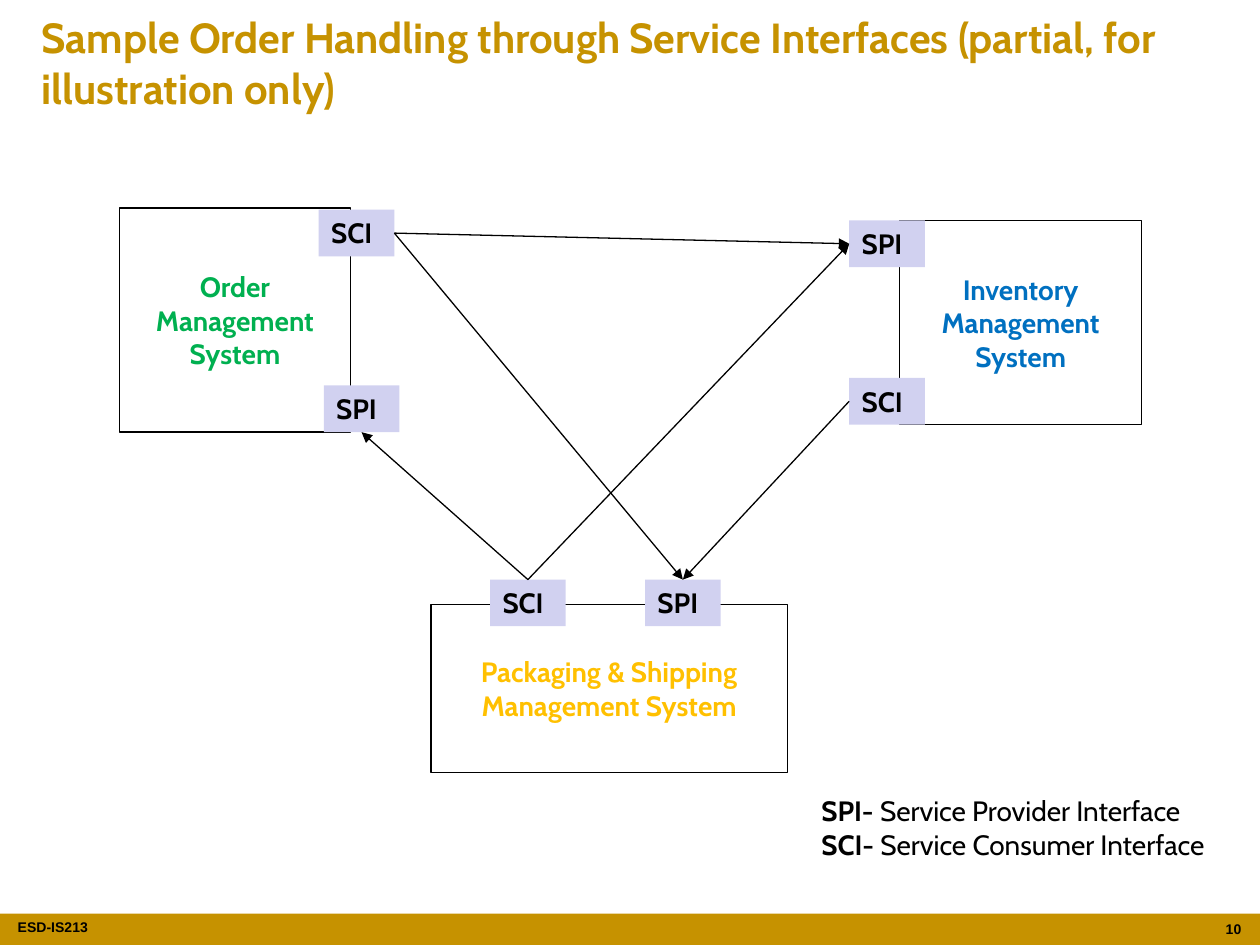
"""Build the slide on order handling through service interfaces."""
from lxml.etree import SubElement
from pptx import Presentation
from pptx.dml.color import RGBColor
from pptx.enum.shapes import MSO_CONNECTOR, MSO_SHAPE
from pptx.enum.text import MSO_ANCHOR, MSO_AUTO_SIZE, PP_ALIGN
from pptx.oxml.ns import qn
from pptx.util import Pt

GOLD = RGBColor(0xC6, 0x92, 0x00)
BLACK = RGBColor(0, 0, 0)
LILAC = RGBColor(0xD1, 0xD1, 0xF0)
GREEN = RGBColor(0x00, 0xB0, 0x50)
BLUE = RGBColor(0x00, 0x70, 0xC0)
AMBER = RGBColor(0xFF, 0xC0, 0x00)

W, H = 720, 540
BAR_H = 18
TAG_W, TAG_H = 43.2, 26.64
TOP, LEFT, BOTTOM, RIGHT = range(4)

TITLE = "Sample Order Handling through Service Interfaces (partial, for illustration only)"
SYSTEMS = [
    (["Order Management System"], GREEN, (68.4, 118.8, 131.76, 128.16)),
    (["Inventory Management", "System"], BLUE, (514.08, 126, 138.24, 116.64)),
    (["Packaging & Shipping Management System"], AMBER, (246.24, 345.6, 203.76, 95.76)),
]
TAGS = {
    ("Order", "SCI"): (182.16, 119.88),
    ("Order", "SPI"): (185.04, 220.32),
    ("Shipping", "SCI"): (280.08, 331.2),
    ("Shipping", "SPI"): (368.64, 331.2),
    ("Inventory", "SCI"): (485.28, 216),
    ("Inventory", "SPI"): (485.28, 126),
}
CALLS = [
    ("Shipping", TOP, "Order", BOTTOM),
    ("Shipping", TOP, "Inventory", LEFT),
    ("Order", RIGHT, "Inventory", LEFT),
    ("Inventory", LEFT, "Shipping", TOP),
    ("Order", RIGHT, "Shipping", TOP),
]
LEGEND = [("SPI- ", "Service Provider Interface"), ("SCI- ", "Service Consumer Interface")]


def style(p, size, color, bold=True, align=PP_ALIGN.LEFT, name="Cabin"):
    p.alignment = align
    p.font.name, p.font.size, p.font.bold = name, Pt(size), bold
    p.font.color.rgb = color


def add_box(s, box, fill=None, line=None):
    sp = s.shapes.add_shape(MSO_SHAPE.RECTANGLE, *map(Pt, box))
    sp.shadow.inherit = False
    if fill is None:
        sp.fill.background()
    else:
        sp.fill.solid()
        sp.fill.fore_color.rgb = fill
    if line is None:
        sp.line.fill.background()
    else:
        sp.line.color.rgb, sp.line.width = line, Pt(0.75)
    return sp


def add_text(s, box, text, align, inset):
    tf = s.shapes.add_textbox(*map(Pt, box)).text_frame
    tf.word_wrap = True
    tf.margin_left = tf.margin_right = Pt(inset)
    tf.text = text
    style(tf.paragraphs[0], 8, BLACK, align=align, name="Arial")


def add_system(s, lines, color, box):
    tf = add_box(s, box, line=BLACK).text_frame
    tf.word_wrap = True
    tf.vertical_anchor = MSO_ANCHOR.MIDDLE
    tf.text = "\n".join(lines)
    for p in tf.paragraphs:
        style(p, 16, color, align=PP_ALIGN.CENTER)


def add_tag(s, text, left, top):
    sp = add_box(s, (left, top, TAG_W, TAG_H), fill=LILAC)
    tf = sp.text_frame
    tf.word_wrap, tf.auto_size = False, MSO_AUTO_SIZE.SHAPE_TO_FIT_TEXT
    tf.vertical_anchor = MSO_ANCHOR.TOP
    tf.text = text
    style(tf.paragraphs[0], 16, BLACK)
    return sp


def add_arrow(s, source, start, target, end):
    c = s.shapes.add_connector(MSO_CONNECTOR.STRAIGHT, 0, 0, 0, 0)
    c.begin_connect(source, start)
    c.end_connect(target, end)
    c.line.color.rgb, c.line.width = BLACK, Pt(0.75)
    SubElement(c.line._get_or_add_ln(), qn("a:tailEnd"), type="triangle")
    SubElement(c._element.spPr, qn("a:effectLst"))


def add_legend(s):
    tf = s.shapes.add_textbox(Pt(462.24), Pt(450), Pt(251.28), Pt(46.08)).text_frame
    tf.word_wrap, tf.auto_size = False, MSO_AUTO_SIZE.SHAPE_TO_FIT_TEXT
    for i, (key, meaning) in enumerate(LEGEND):
        p = tf.add_paragraph() if i else tf.paragraphs[0]
        style(p, 16, BLACK, bold=False)
        r = p.add_run()
        r.text, r.font.bold = key, True
        p.add_run().text = meaning


def main():
    prs = Presentation()
    prs.slide_width, prs.slide_height = Pt(W), Pt(H)
    s = prs.slides.add_slide(prs.slide_layouts[5])

    title = s.shapes.title
    title.left, title.top, title.width, title.height = map(Pt, (16.56, 2.88, 686.88, 65.52))
    tf = title.text_frame
    tf.text, tf.vertical_anchor = TITLE, MSO_ANCHOR.MIDDLE
    tf.auto_size = MSO_AUTO_SIZE.NONE
    style(tf.paragraphs[0], 24, GOLD)

    add_box(s, (0, H - BAR_H, W, BAR_H), fill=GOLD)
    add_text(s, (10.08, 521.28, 92.88, 18), "ESD-IS213", PP_ALIGN.LEFT, 0)
    add_text(s, (688.32, 522.72, 28.08, 17.28), "10", PP_ALIGN.RIGHT, 7.2)

    for system in SYSTEMS:
        add_system(s, *system)
    tags = {key: add_tag(s, key[1], *at) for key, at in TAGS.items()}
    for consumer, start, provider, end in CALLS:
        add_arrow(s, tags[consumer, "SCI"], start, tags[provider, "SPI"], end)
    add_legend(s)
    prs.save("out.pptx")


if __name__ == "__main__":
    main()
